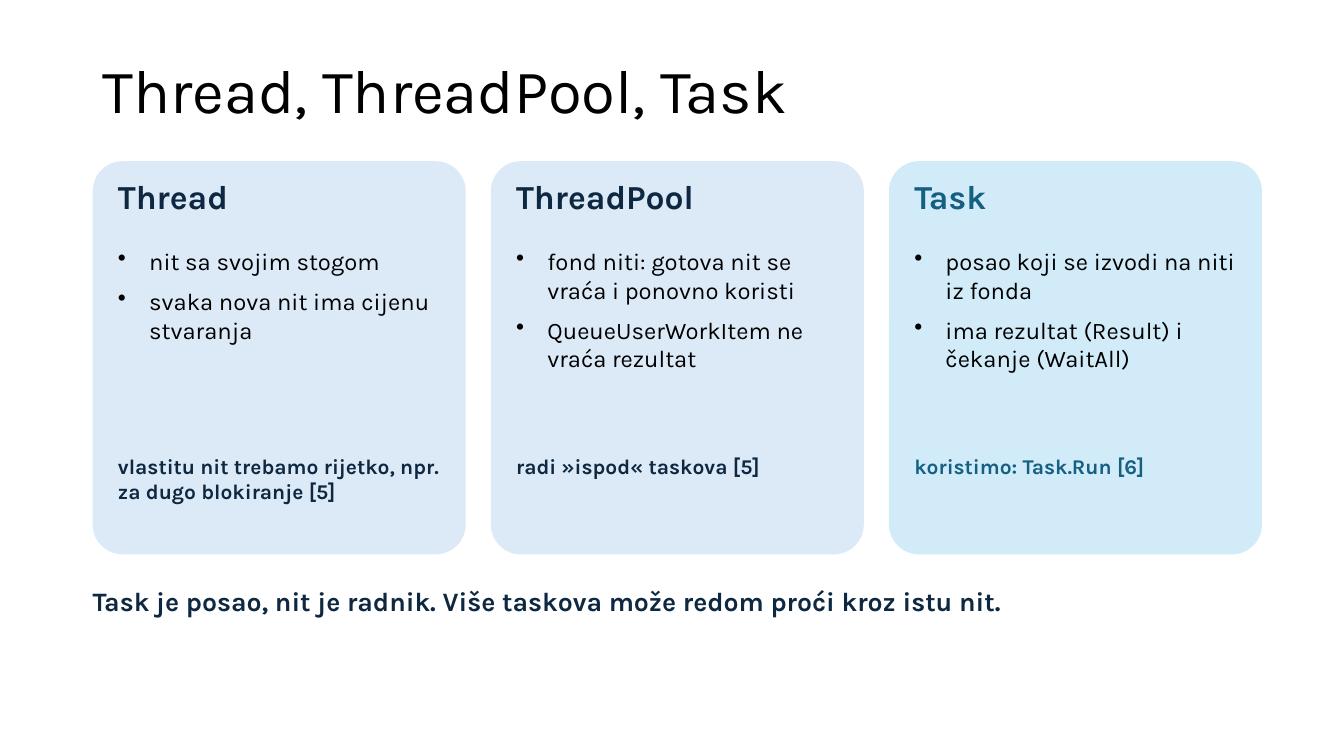
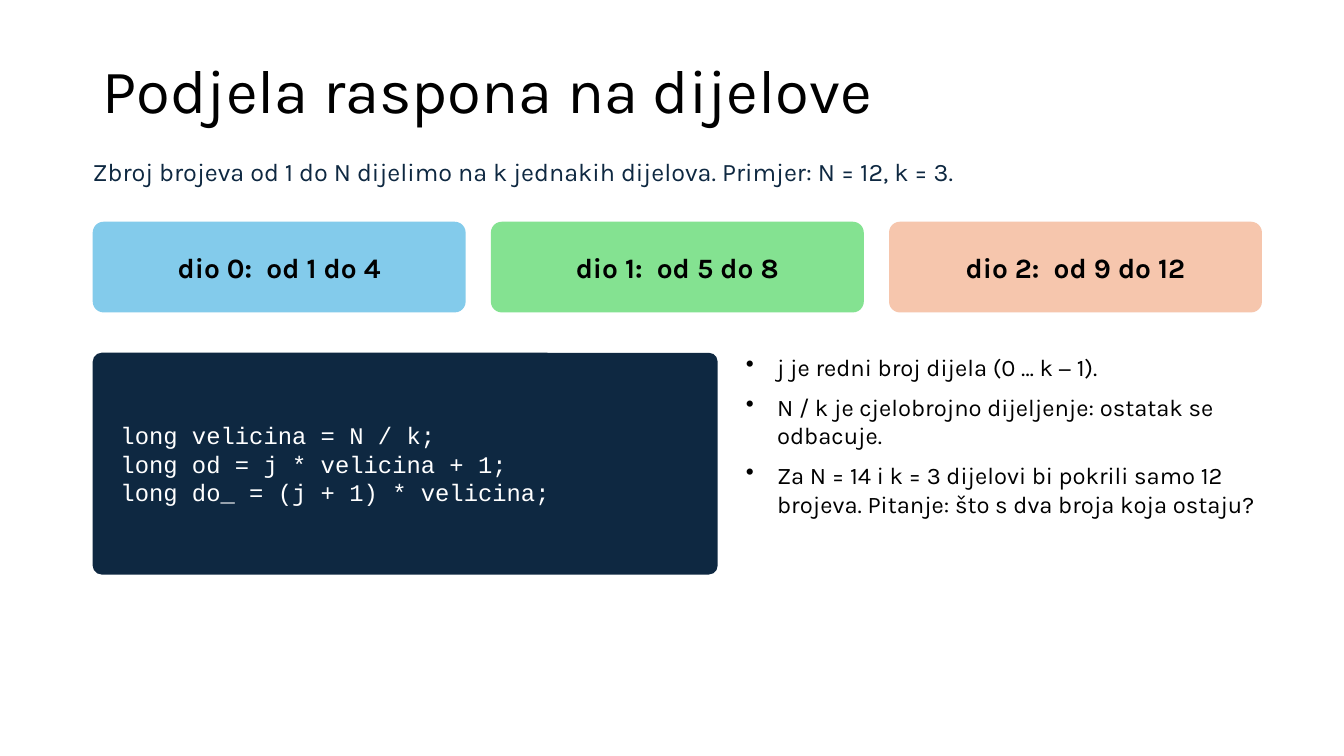
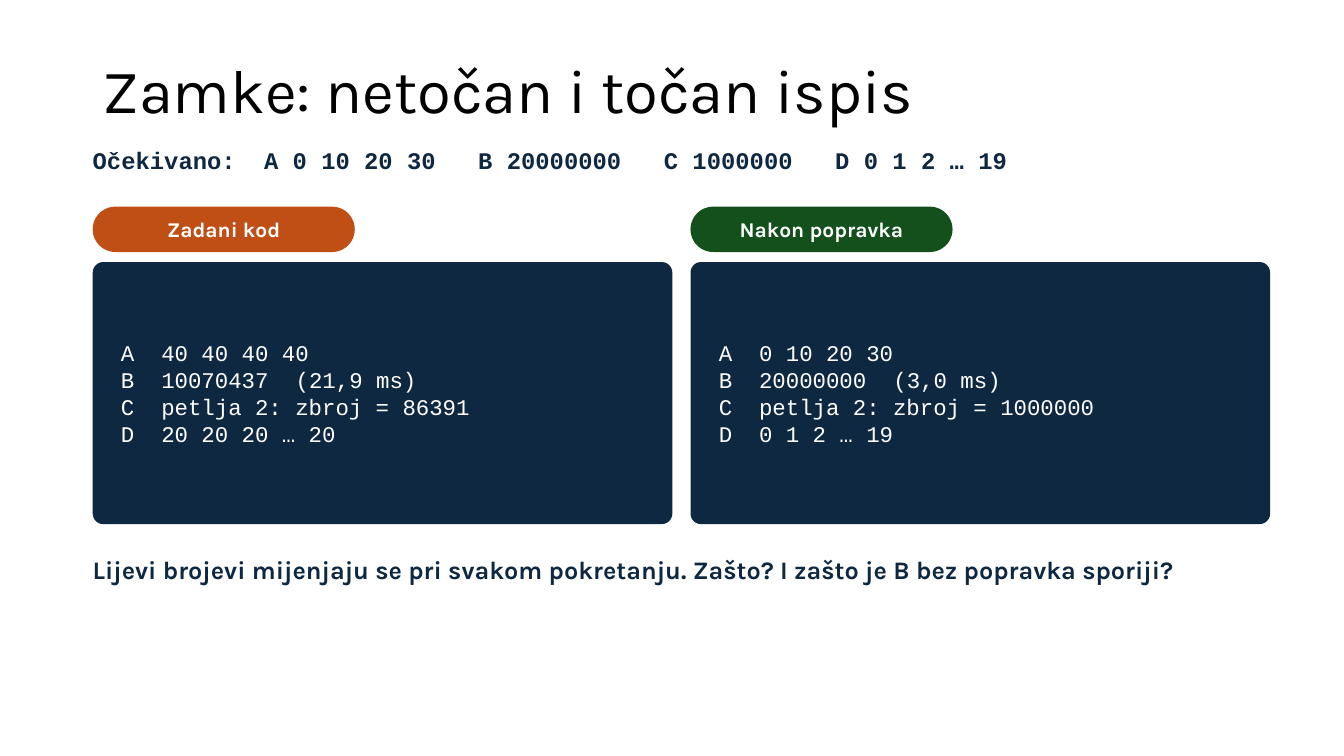
from dataclasses import dataclass

from lxml import etree
from pptx import Presentation
from pptx.dml.color import RGBColor
from pptx.enum.shapes import MSO_SHAPE
from pptx.enum.text import MSO_ANCHOR, PP_ALIGN
from pptx.oxml.ns import qn
from pptx.util import Pt

ROUNDED = MSO_SHAPE.ROUNDED_RECTANGLE
TOP, MIDDLE = MSO_ANCHOR.TOP, MSO_ANCHOR.MIDDLE
ALIGN_LEFT, CENTER = PP_ALIGN.LEFT, PP_ALIGN.CENTER


@dataclass(frozen=True)
class Theme:
    sans: str = "Karla"
    mono: str = "Courier New"
    black: str = "000000"
    white: str = "FFFFFF"
    navy: str = "0E2841"
    teal: str = "156082"
    card: str = "DCEAF7"
    card_accent: str = "D1EBF8"
    blue: str = "83CBEB"
    green: str = "84E291"
    peach: str = "F6C6AD"
    rust: str = "C04F15"
    forest: str = "13501B"
    title: float = 44
    heading: float = 24
    label: float = 20
    summary: float = 19
    lead: float = 18
    body: float = 17
    output: float = 16
    note: float = 15


THEME = Theme()
SLIDE_SIZE = (960, 540)
LEFT, CONTENT_WIDTH = 66.24, 835.2
COLUMN_GAP = 18
NO_INSETS = (0, 0, 0, 0)
LABEL_INSETS = (3.6, 1.44, 3.6, 1.44)
CODE_INSETS = (18, 3.6, 7.2, 3.6)
BULLET_INDENT = 22.32
MONO_ADVANCE = 0.6  # width of a monospaced character, in ems


def set_attributes(target, values):
    for name, value in values.items():
        setattr(target, name, value)


def text_format(size, color=THEME.black, bold=False, font=THEME.sans):
    return {"size": size, "color": color, "bold": bold, "name": font}


def column_boxes(left, top, width, height, count, gap):
    """Split a box into equal columns."""
    column = (width - gap * (count - 1)) / count
    return [(left + index * (column + gap), top, column, height)
            for index in range(count)]


def add_bullet(paragraph):
    properties = paragraph._p.get_or_add_pPr()
    properties.set("marL", str(Pt(BULLET_INDENT)))
    properties.set("indent", str(-Pt(BULLET_INDENT)))
    etree.SubElement(properties, qn("a:buChar"), char="•")
    paragraph.space_after = Pt(8)


def add_tab_stops(paragraph, columns, size):
    """Set tab stops at the given character columns of monospaced text."""
    tabs = etree.SubElement(paragraph._p.get_or_add_pPr(), qn("a:tabLst"))
    for column in columns:
        position = Pt(column * MONO_ADVANCE * size)
        etree.SubElement(tabs, qn("a:tab"), pos=str(position), algn="l")


def add_run(paragraph, text, style):
    run = paragraph.add_run()
    run.text = text
    set_attributes(run.font, {"size": Pt(style["size"]), "bold": style["bold"],
                              "name": style["name"]})
    run.font.color.rgb = RGBColor.from_string(style["color"])
    return run


def set_frame(shape, insets, anchor):
    left, top, right, bottom = map(Pt, insets)
    set_attributes(shape.text_frame, {
        "word_wrap": True, "vertical_anchor": anchor,
        "margin_left": left, "margin_top": top,
        "margin_right": right, "margin_bottom": bottom})


def write_lines(shape, lines, style, bullets=False, tabs=(), align=ALIGN_LEFT):
    frame = shape.text_frame
    for index, line in enumerate(lines):
        paragraph = frame.add_paragraph() if index else frame.paragraphs[0]
        paragraph.alignment = align
        if bullets:
            add_bullet(paragraph)
        if tabs:
            add_tab_stops(paragraph, tabs, style["size"])
        add_run(paragraph, line, style)


def add_text(slide, box, lines, style, insets=NO_INSETS, anchor=TOP, **options):
    shape = slide.shapes.add_textbox(*map(Pt, box))
    set_frame(shape, insets, anchor)
    write_lines(shape, lines, style, **options)
    return shape


def add_panel(slide, box, fill, rounding, insets=NO_INSETS):
    shape = slide.shapes.add_shape(ROUNDED, *map(Pt, box))
    shape.adjustments[0] = rounding
    shape.shadow.inherit = False
    shape.fill.solid()
    shape.fill.fore_color.rgb = RGBColor.from_string(fill)
    shape.line.fill.background()
    set_frame(shape, insets, MIDDLE)
    return shape


def add_titled_slide(presentation, title):
    slide = presentation.slides.add_slide(presentation.slide_layouts[6])
    shape = add_text(slide, (LEFT, 28.8, 828, 76.32), [title],
                     text_format(THEME.title), (7.2, 3.6, 7.2, 3.6), MIDDLE)
    shape.text_frame.paragraphs[0].line_spacing = 0.9
    return slide


def add_card(slide, box, heading, bullets, note, fill, accent):
    left, top, width, _ = box
    inner_left, inner_width = left + 18, width - 32.4
    add_panel(slide, box, fill, 0.08)
    add_text(slide, (inner_left, top + 10.8, inner_width, 43.2), [heading],
             text_format(THEME.heading, accent, True))
    add_text(slide, (inner_left, top + 61.2, inner_width, 144), bullets,
             text_format(THEME.body), bullets=True)
    add_text(slide, (inner_left, top + 208.8, inner_width, 64.8), [note],
             text_format(THEME.note, accent, True))


def add_range_part(slide, box, name, span, fill):
    """Draw one part of the range, its name and span set apart by a wide space."""
    shape = add_panel(slide, box, fill, 0.12, LABEL_INSETS)
    paragraph = shape.text_frame.paragraphs[0]
    paragraph.alignment = CENTER
    style = text_format(THEME.label, bold=True)
    add_run(paragraph, name, style)
    space = add_run(paragraph, " ", style)
    space._r.get_or_add_rPr().set("spc", "500")
    add_run(paragraph, span, style)


def add_code(slide, box, lines, size, tabs=()):
    shape = add_panel(slide, box, THEME.navy, 0.04, CODE_INSETS)
    write_lines(shape, lines, text_format(size, THEME.white, font=THEME.mono),
                tabs=tabs)


def add_output(slide, box, label, fill, lines):
    """Draw a pill label with a panel of program output below it."""
    left, top, width, height = box
    pill = add_panel(slide, (left, top, 187.2, 32.4), fill, 0.5, LABEL_INSETS)
    write_lines(pill, [label], text_format(THEME.note, THEME.white, True),
                align=CENTER)
    add_code(slide, (left, top + 39.6, width, height - 39.6), lines,
             THEME.output, tabs=(3, 13))


def build_comparison(presentation):
    slide = add_titled_slide(presentation, "Thread, ThreadPool, Task")
    cards = [
        ("Thread",
         ["nit sa svojim stogom", "svaka nova nit ima cijenu stvaranja"],
         "vlastitu nit trebamo rijetko, npr. za dugo blokiranje [5]",
         THEME.card, THEME.navy),
        ("ThreadPool",
         ["fond niti: gotova nit se vraća i ponovno koristi",
          "QueueUserWorkItem ne vraća rezultat"],
         "radi »ispod« taskova [5]", THEME.card, THEME.navy),
        ("Task",
         ["posao koji se izvodi na niti iz fonda",
          "ima rezultat (Result) i čekanje (WaitAll)"],
         "koristimo: Task.Run [6]", THEME.card_accent, THEME.teal),
    ]
    boxes = column_boxes(LEFT, 115.2, CONTENT_WIDTH, 280.8, len(cards), COLUMN_GAP)
    for box, card in zip(boxes, cards):
        add_card(slide, box, *card)
    add_text(slide, (LEFT, 417.6, CONTENT_WIDTH, 43.2),
             ["Task je posao, nit je radnik. Više taskova može redom proći kroz istu nit."],
             text_format(THEME.summary, THEME.navy, True))


def build_range_split(presentation):
    slide = add_titled_slide(presentation, "Podjela raspona na dijelove")
    add_text(slide, (LEFT, 111.6, CONTENT_WIDTH, 36),
             ["Zbroj brojeva od 1 do N dijelimo na k jednakih dijelova. "
              "Primjer: N = 12, k = 3."],
             text_format(THEME.lead, THEME.navy))
    parts = [("dio 0:", "od 1 do 4", THEME.blue),
             ("dio 1:", "od 5 do 8", THEME.green),
             ("dio 2:", "od 9 do 12", THEME.peach)]
    boxes = column_boxes(LEFT, 158.4, CONTENT_WIDTH, 64.8, len(parts), COLUMN_GAP)
    for box, part in zip(boxes, parts):
        add_range_part(slide, box, *part)
    add_code(slide, (LEFT, 252, 446.4, 158.4),
             ["long velicina = N / k;",
              "long od = j * velicina + 1;",
              "long do_ = (j + 1) * velicina;"], THEME.body)
    add_text(slide, (532.8, 252, 367.2, 216),
             ["j je redni broj dijela (0 … k − 1).",
              "N / k je cjelobrojno dijeljenje: ostatak se odbacuje.",
              "Za N = 14 i k = 3 dijelovi bi pokrili samo 12 brojeva. "
              "Pitanje: što s dva broja koja ostaju?"],
             text_format(THEME.body), bullets=True)


def build_pitfalls(presentation):
    slide = add_titled_slide(presentation, "Zamke: netočan i točan ispis")
    add_text(slide, (LEFT, 104.4, CONTENT_WIDTH, 36),
             ["Očekivano:\tA 0 10 20 30\tB 20000000\tC 1000000\tD 0 1 2 … 19"],
             text_format(THEME.body, THEME.navy, True, THEME.mono),
             tabs=(12, 27, 40, 52))
    outputs = [
        ("Zadani kod", THEME.rust,
         ["A\t40 40 40 40", "B\t10070437\t(21,9 ms)",
          "C\tpetlja 2: zbroj = 86391", "D\t20 20 20 … 20"]),
        ("Nakon popravka", THEME.forest,
         ["A\t0 10 20 30", "B\t20000000\t(3,0 ms)",
          "C\tpetlja 2: zbroj = 1000000", "D\t0 1 2 … 19"]),
    ]
    boxes = column_boxes(LEFT, 147.6, 841, 226.8, len(outputs), 13)
    for box, output in zip(boxes, outputs):
        add_output(slide, box, *output)
    add_text(slide, (LEFT, 396, CONTENT_WIDTH, 86.4),
             ["Lijevi brojevi mijenjaju se pri svakom pokretanju. Zašto? "
              "I zašto je B bez popravka sporiji?"],
             text_format(THEME.lead, THEME.navy, True))


def main():
    presentation = Presentation()
    presentation.slide_width, presentation.slide_height = map(Pt, SLIDE_SIZE)
    for build in (build_comparison, build_range_split, build_pitfalls):
        build(presentation)
    presentation.save("out.pptx")


if __name__ == "__main__":
    main()
